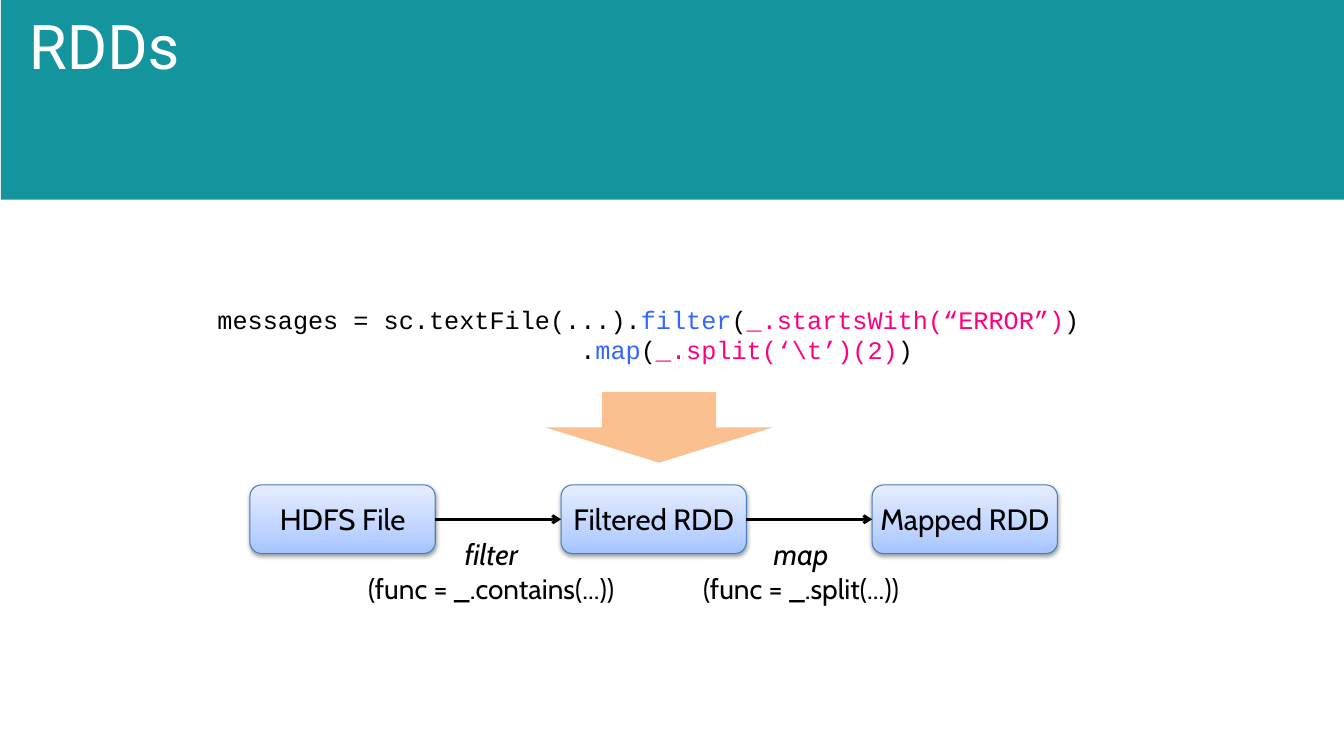
from pptx import Presentation
from pptx.dml.color import RGBColor
from pptx.enum.shapes import MSO_CONNECTOR, MSO_SHAPE
from pptx.enum.text import MSO_ANCHOR, MSO_AUTO_SIZE, PP_ALIGN
from pptx.oxml import parse_xml
from pptx.oxml.ns import nsdecls
from pptx.util import Cm, Pt

TEAL = RGBColor(0x14, 0x94, 0x9D)
PEACH = RGBColor(0xFA, 0xC0, 0x90)
EDGE = RGBColor(0x4B, 0x7E, 0xBC)
BLUE = RGBColor(0x33, 0x66, 0xFF)
PINK = RGBColor(0xFF, 0x00, 0x80)
BLACK = RGBColor(0x00, 0x00, 0x00)
WHITE = RGBColor(0xFF, 0xFF, 0xFF)
DARK = RGBColor(0xA4, 0xC4, 0xFF)
MID = RGBColor(0xBF, 0xD4, 0xFF)
LIGHT = RGBColor(0xE6, 0xEE, 0xFF)
STOPS = [(0, DARK), (35, MID), (100, LIGHT)]

CODE = [
    [("messages = sc.textFile(...).", BLACK), ("filter", BLUE), ("(", BLACK),
     ("_.startsWith(“ERROR”)", PINK), (")", BLACK)],
    [(" " * 24 + ".", BLACK), ("map", BLUE), ("(", BLACK),
     ("_.split(‘\\t’)(2)", PINK), (")", BLACK)],
]
NODES = ["HDFS File", "Filtered RDD", "Mapped RDD"]
NOTES = [
    (8.94, 6.88, "filter", "(func = _.contains(...))"),
    (17.37, 5.64, "map", "(func = _.split(...))"),
]


def write(para, text, font="Cabin", size=21, color=BLACK, italic=False):
    """Add a formatted run to a paragraph."""
    run = para.add_run()
    run.text = text
    run.font.name = font
    run.font.size = Pt(size)
    run.font.color.rgb = color
    run.font.italic = italic


def add_box(slide, kind, left, top, width, height, fill=None):
    """Add a preset shape with no shadow and an optional plain fill."""
    box = slide.shapes.add_shape(kind, Cm(left), Cm(top), Cm(width), Cm(height))
    box.shadow.inherit = False
    if fill is not None:
        box.fill.solid()
        box.fill.fore_color.rgb = fill
        box.line.fill.background()
    return box


def add_text(slide, left, top, width, height, wrap=True):
    """Add a text box and return its frame."""
    box = slide.shapes.add_textbox(Cm(left), Cm(top), Cm(width), Cm(height))
    frame = box.text_frame
    frame.word_wrap = wrap
    frame.auto_size = MSO_AUTO_SIZE.SHAPE_TO_FIT_TEXT
    return frame


def add_title(slide, text):
    """Add the title band."""
    band = add_box(slide, MSO_SHAPE.RECTANGLE, 0.02, 0, 33.87, 5.03, TEAL)
    frame = band.text_frame
    frame.vertical_anchor = MSO_ANCHOR.TOP
    frame.margin_left, frame.margin_top = Cm(0.71), Cm(0.41)
    para = frame.paragraphs[0]
    para.alignment = PP_ALIGN.LEFT
    para.line_spacing = 0.9
    write(para, text, font="Roboto", size=44, color=WHITE)


def add_code(slide, lines):
    """Add the coloured code lines."""
    frame = add_text(slide, 5.23, 7.54, 22.76, 1.8)
    for i, line in enumerate(lines):
        para = frame.add_paragraph() if i else frame.paragraphs[0]
        for text, color in line:
            write(para, text, font="Courier New", size=18, color=color)


def add_node(slide, left, text):
    """Add a rounded node with a gradient and a soft shadow."""
    node = add_box(slide, MSO_SHAPE.ROUNDED_RECTANGLE, left, 12.22, 4.67, 1.73)
    stops = "".join(
        f'<a:gs pos="{pos * 1000}"><a:srgbClr val="{color}"/></a:gs>'
        for pos, color in STOPS)
    props = node._element.spPr
    props.insert(2, parse_xml(
        f'<a:gradFill {nsdecls("a")} rotWithShape="1"><a:gsLst>{stops}</a:gsLst>'
        '<a:lin ang="16200000" scaled="0"/></a:gradFill>'))
    node.line.color.rgb = EDGE
    node.line.width = Pt(0.75)
    props[-1].append(parse_xml(
        f'<a:outerShdw {nsdecls("a")} blurRad="40000" dist="20000" dir="5400000"'
        ' rotWithShape="0"><a:srgbClr val="000000"><a:alpha val="38000"/>'
        '</a:srgbClr></a:outerShdw>'))
    frame = node.text_frame
    frame.margin_left = frame.margin_right = 0
    frame.vertical_anchor = MSO_ANCHOR.MIDDLE
    para = frame.paragraphs[0]
    para.alignment = PP_ALIGN.CENTER
    write(para, text)
    return node


def add_link(slide, start, end):
    """Join two nodes with an arrow."""
    link = slide.shapes.add_connector(MSO_CONNECTOR.STRAIGHT, 0, 0, 0, 0)
    link.begin_connect(start, 3)
    link.end_connect(end, 1)
    link.line.color.rgb = BLACK
    link.line.width = Pt(2)
    link.line._get_or_add_ln().append(
        parse_xml(f'<a:tailEnd {nsdecls("a")} type="arrow"/>'))
    link._element.spPr.append(parse_xml(f'<a:effectLst {nsdecls("a")}/>'))


def add_note(slide, left, width, name, func):
    """Add the step name and its function under an arrow."""
    frame = add_text(slide, left, 13.39, width, 2.01, wrap=False)
    para = frame.paragraphs[0]
    para.alignment = PP_ALIGN.CENTER
    write(para, name, italic=True)
    para.add_line_break()
    write(para, func, size=20)


def main():
    """Build and save the slide."""
    deck = Presentation()
    deck.slide_width, deck.slide_height = Cm(33.87), Cm(19.05)
    slide = deck.slides.add_slide(deck.slide_layouts[6])
    add_title(slide, "RDDs")
    add_code(slide, CODE)
    nodes = [add_node(slide, 6.3 + 7.84 * i, text)
             for i, text in enumerate(NODES)]
    for start, end in zip(nodes, nodes[1:]):
        add_link(slide, start, end)
    add_box(slide, MSO_SHAPE.DOWN_ARROW, 13.74, 9.88, 5.74, 1.78, PEACH)
    for note in NOTES:
        add_note(slide, *note)
    deck.save("out.pptx")


if __name__ == "__main__":
    main()
